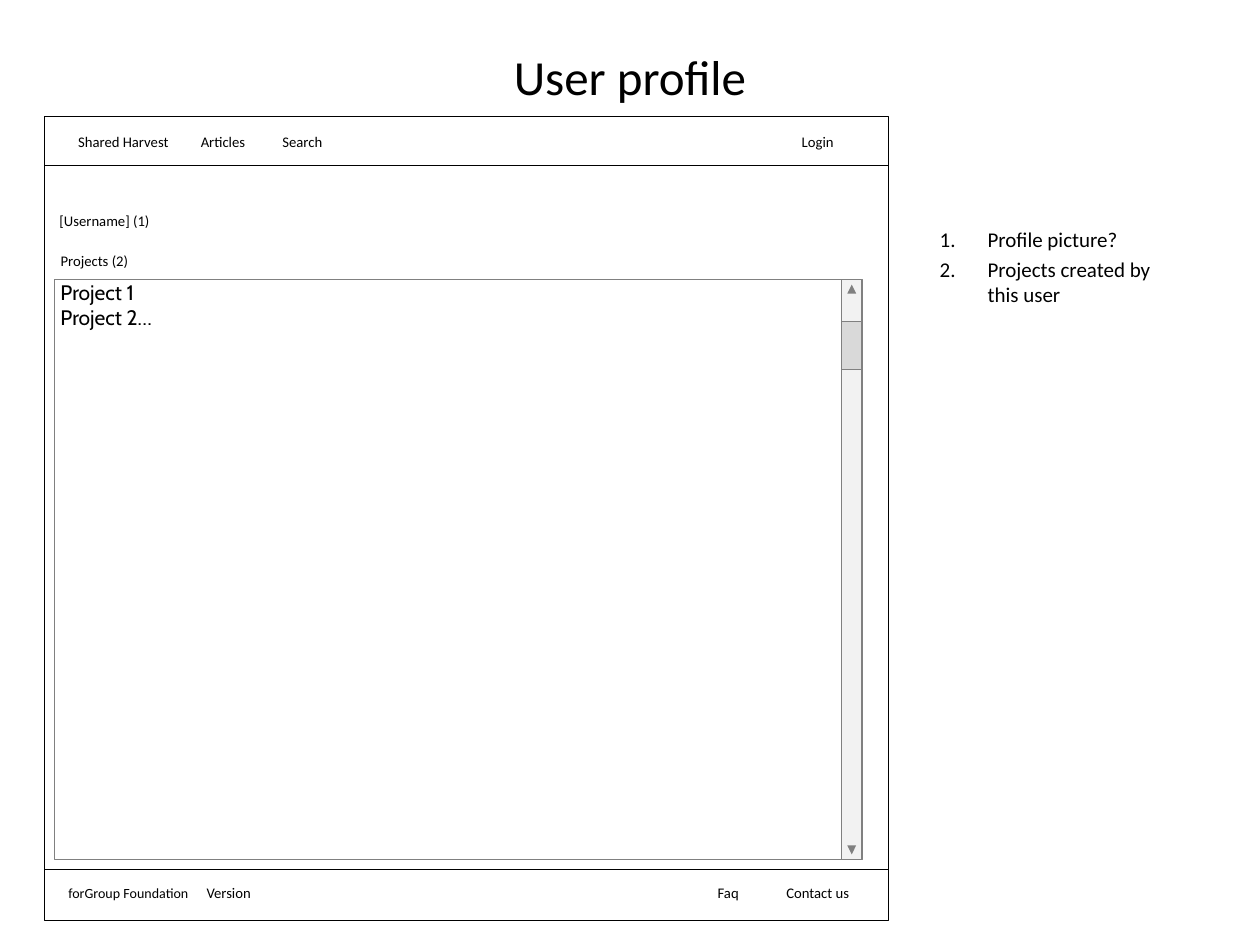
from dataclasses import dataclass

from lxml.etree import SubElement as Sub
from pptx import Presentation
from pptx.dml.color import RGBColor as Color
from pptx.enum.shapes import MSO_CONNECTOR as Wire, MSO_SHAPE as Kind
from pptx.enum.text import MSO_ANCHOR as Anchor, PP_ALIGN as Align
from pptx.oxml.ns import qn
from pptx.util import Inches, Pt


@dataclass(frozen=True)
class Theme:
    """Colours, fonts and sizes of the slide."""
    ink: str = "000000"
    paper: str = "FFFFFF"
    edge: str = "808080"
    track: str = "F2F2F2"
    thumb: str = "D9D9D9"
    font: str = "Calibri"
    sketch: str = "Cabin"
    title: float = 28
    body: float = 12
    label: float = 8.4
    small: float = 8
    line: float = 0.25


THEME = Theme()


def put_text(shapes, text, box, size=THEME.label, font=THEME.font, align=Align.CENTER,
             anchor=Anchor.MIDDLE, inset=(0, 0, 0, 0), before=0, indent=0):
    """Add a text box with one paragraph per line; an indent numbers them."""
    frame = shapes.add_textbox(*map(Inches, box)).text_frame
    frame.word_wrap = True
    frame.vertical_anchor = anchor
    (frame.margin_left, frame.margin_top,
     frame.margin_right, frame.margin_bottom) = map(Inches, inset)
    frame.text = text
    for para in frame.paragraphs:
        para.alignment = align
        para.space_before = Pt(before)
        para.font.size = Pt(size)
        para.font.name = font
        para.font.color.rgb = Color.from_string(THEME.ink)
        if indent:
            props = para._p.get_or_add_pPr()
            props.set("marL", str(Inches(indent)))
            props.set("indent", str(-Inches(indent)))
            mark = Sub(props, qn("a:buAutoNum"), type="arabicPeriod")
            props.remove(mark)
            props.insert_element_before(mark, "a:tabLst", "a:defRPr", "a:extLst")


def put_shape(shapes, box, fill, line=None, kind=Kind.RECTANGLE, turn=0):
    """Add a flat filled shape, outlined if a line colour is given."""
    shape = shapes.add_shape(kind, *map(Inches, box))
    shape.shadow.inherit = False
    shape.rotation = turn
    shape.fill.solid()
    shape.fill.fore_color.rgb = Color.from_string(fill)
    if line:
        shape.line.color.rgb = Color.from_string(line)
        shape.line.width = Pt(THEME.line)
    else:
        shape.line.fill.background()


def put_rule(shapes, left, top, width):
    """Add a thin horizontal rule."""
    rule = shapes.add_connector(Wire.STRAIGHT, *map(Inches, (left, top, left + width, top)))
    rule.line.color.rgb = Color.from_string(THEME.ink)
    rule.line.width = Pt(THEME.line)
    Sub(rule._element.spPr, qn("a:effectLst"))


def put_links(shapes, left, top, links):
    """Add a row of labels, each with its own offset, width and size."""
    for text, shift, width, size in links:
        put_text(shapes, text, (left + shift, top, width, 0.21), size=size)


def draw_list(slide, box, text):
    """Draw a list box with its scroll bar as one group."""
    left, top, width, height = box
    shapes = slide.shapes.add_group_shape().shapes
    bar = 0.16
    side = left + width - bar
    put_shape(shapes, box, THEME.paper, THEME.edge)
    put_text(shapes, text, (left, top, width, 0.42), size=THEME.body, font=THEME.sketch,
             align=Align.LEFT, anchor=Anchor.TOP, inset=(0.05, 0, 0, 0.02))
    put_shape(shapes, (side, top, bar, height), THEME.track, THEME.edge)
    put_shape(shapes, (side, top + 0.33, bar, 0.38), THEME.thumb, THEME.edge)
    tip, gap = 0.07, 0.04
    for y, turn in ((top + gap, 0), (top + height - gap - tip, 180)):
        put_shape(shapes, (side + (bar - tip) / 2, y, tip, tip), THEME.edge,
                  kind=Kind.ISOSCELES_TRIANGLE, turn=turn)


def draw_page(slide, box):
    """Draw the page mock-up with header, content and footer."""
    left, top, width, height = box
    shapes, size = slide.shapes, THEME.label
    put_shape(shapes, box, THEME.paper, THEME.ink)
    put_rule(shapes, left, top + 0.39, width)
    put_rule(shapes, left, top + height - 0.4, width)
    put_links(shapes, left, top + 0.1, (
        ("Shared Harvest", 0.08, 1.1, size), ("Articles", 0.87, 1.1, size),
        ("Search", 1.5, 1.1, size), ("Login", 5.59, 1.1, size)))
    put_links(shapes, left, top + height - 0.32, (
        ("forGroup Foundation", 0.08, 1.18, THEME.small), ("Version", 1.12, 0.69, size),
        ("Faq", 4.88, 1.1, size), ("Contact us", 5.59, 1.1, size)))
    put_links(shapes, left, top + 0.73, (("[Username] (1)", -0.07, 1.1, size),))
    put_links(shapes, left, top + 1.04, (("Projects (2)", -0.15, 1.1, size),))
    draw_list(slide, (left + 0.08, top + 1.3, 6.41, 4.6), "Project 1\nProject 2…")


def draw_notes(slide, box):
    """Draw the numbered remarks beside the page."""
    put_text(slide.shapes, "Profile picture?\nProjects created by this user", box,
             size=THEME.body, align=Align.LEFT, anchor=Anchor.TOP,
             inset=(0.1, 0.05, 0.1, 0.05), before=2.4, indent=0.38)


def main():
    """Build and save the slide."""
    deck = Presentation()
    deck.slide_width, deck.slide_height = Inches(10), Inches(7.5)
    slide = deck.slides.add_slide(deck.slide_layouts[6])
    put_text(slide.shapes, "User profile", (0.5, 0.3, 9, 0.61), size=THEME.title)
    draw_page(slide, (0.35, 0.92, 6.7, 6.38))
    draw_notes(slide, (7.36, 1.75, 2.14, 4.95))
    deck.save("out.pptx")


if __name__ == "__main__":
    main()
